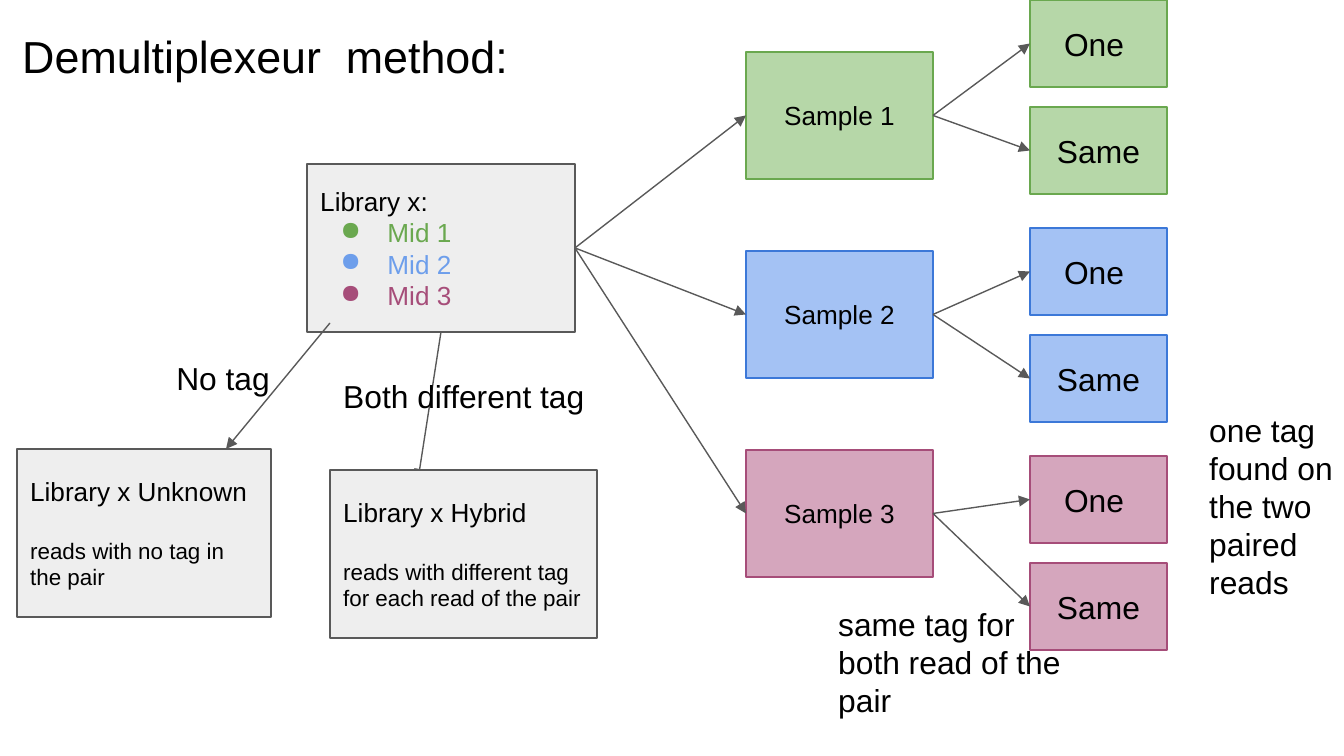
from dataclasses import dataclass

from lxml.etree import SubElement
from pptx import Presentation
from pptx.dml.color import RGBColor
from pptx.enum.shapes import MSO_CONNECTOR, MSO_SHAPE
from pptx.enum.text import MSO_ANCHOR, MSO_AUTO_SIZE, PP_ALIGN
from pptx.oxml.ns import qn
from pptx.util import Inches, Pt

PIXELS_PER_INCH = 134.4
LEFT_SITE, RIGHT_SITE = 1, 3


@dataclass(frozen=True)
class Theme:
    """Hold the font, type sizes and colours of the slide."""
    font: str = "Arial"
    title: int = 24
    label: int = 17
    body: int = 14
    note: int = 12
    text: str = "000000"
    line: str = "595959"
    library: str = "EEEEEE"
    samples: tuple = (("B6D7A8", "6AA84F"), ("A4C2F4", "3C78D8"), ("D5A6BD", "A64D79"))
    mids: tuple = ("6AA84F", "6D9EEB", "A64D79")


THEME = Theme()


def px(pixels):
    """Convert pixels to EMU."""
    return Inches(pixels / PIXELS_PER_INCH)


def style_paragraph(paragraph, size, color=THEME.text):
    """Format every run of a paragraph."""
    for run in paragraph.runs:
        run.font.name = THEME.font
        run.font.size = Pt(size)
        run.font.color.rgb = RGBColor.from_string(color)


def set_insets(text_frame):
    """Wrap the text and set equal margins."""
    text_frame.word_wrap = True
    text_frame.margin_left = text_frame.margin_right = Inches(0.1)
    text_frame.margin_top = text_frame.margin_bottom = Inches(0.1)


def add_label(slide, bounds, text, size=THEME.label):
    """Add a free text label and return its paragraph."""
    text_frame = slide.shapes.add_textbox(*map(px, bounds)).text_frame
    set_insets(text_frame)
    text_frame.auto_size = MSO_AUTO_SIZE.SHAPE_TO_FIT_TEXT
    text_frame.text = text
    paragraph = text_frame.paragraphs[0]
    style_paragraph(paragraph, size)
    return paragraph


def add_box(slide, bounds, text, size=THEME.body, fill=THEME.library,
            line=THEME.line, alignment=PP_ALIGN.LEFT):
    """Add an outlined rectangle with its first paragraph."""
    shape = slide.shapes.add_shape(MSO_SHAPE.RECTANGLE, *map(px, bounds))
    shape.shadow.inherit = False
    shape.fill.solid()
    shape.fill.fore_color.rgb = RGBColor.from_string(fill)
    shape.line.color.rgb = RGBColor.from_string(line)
    shape.line.width = Pt(0.75)
    text_frame = shape.text_frame
    set_insets(text_frame)
    text_frame.vertical_anchor = MSO_ANCHOR.MIDDLE
    text_frame.text = text
    text_frame.paragraphs[0].alignment = alignment
    style_paragraph(text_frame.paragraphs[0], size)
    return shape


def add_bullet(shape, text, color):
    """Append a coloured bullet to a box."""
    paragraph = shape.text_frame.add_paragraph()
    paragraph.text = text
    paragraph.alignment = PP_ALIGN.LEFT
    style_paragraph(paragraph, THEME.body, color)
    properties = paragraph._p.get_or_add_pPr()
    properties.set("marL", str(Inches(0.5)))
    properties.set("indent", str(Inches(-0.35)))
    bullet_color = SubElement(properties, qn("a:buClr"))
    SubElement(bullet_color, qn("a:srgbClr"), val=color)
    SubElement(properties, qn("a:buChar"), char="●")


def add_reject_box(slide, bounds, heading, note):
    """Add a library box with a heading and a spaced note."""
    shape = add_box(slide, bounds, heading)
    paragraph = shape.text_frame.add_paragraph()
    paragraph.text = note
    paragraph.alignment = PP_ALIGN.LEFT
    paragraph.space_before = Pt(16)
    style_paragraph(paragraph, THEME.note)


def add_arrow(slide, start=(0, 0), end=(0, 0)):
    """Add a thin arrow between two points."""
    connector = slide.shapes.add_connector(MSO_CONNECTOR.STRAIGHT, *map(px, start + end))
    connector.line.color.rgb = RGBColor.from_string(THEME.line)
    connector.line.width = Pt(0.75)
    SubElement(connector.line._get_or_add_ln(), qn("a:tailEnd"), type="triangle")
    SubElement(connector._element.spPr, qn("a:effectLst"))
    return connector


def join_boxes(slide, source, target):
    """Attach an arrow from the right of one box to the left of another."""
    connector = add_arrow(slide)
    connector.begin_connect(source, RIGHT_SITE)
    connector.end_connect(target, LEFT_SITE)


def add_library(slide):
    """Add the library box with its list of mids."""
    library = add_box(slide, (307, 164, 268, 168), "Library x: ")
    for number, color in enumerate(THEME.mids, start=1):
        add_bullet(library, f"Mid {number}", color)
    return library


def add_rejects(slide):
    """Add the branches for reads that match no sample."""
    add_arrow(slide, (330, 323), (226, 449))
    add_arrow(slide, (441, 332), (418, 480))
    add_reject_box(slide, (17, 449, 254, 168), "Library x Unknown",
                   "reads with no tag in the pair")
    add_label(slide, (163, 345, 137, 66), "No tag")
    add_reject_box(slide, (330, 470, 267, 168), "Library x Hybrid",
                   "reads with different tag for each read of the pair")
    add_label(slide, (330, 363, 300, 66), "Both different tag")


def add_samples(slide, library):
    """Add each sample with its two outcomes."""
    for index, (fill, line) in enumerate(THEME.samples):
        sample = add_box(slide, (746, 52 + 199 * index, 187, 127), f"Sample {index + 1}",
                         THEME.body, fill, line, PP_ALIGN.CENTER)
        join_boxes(slide, library, sample)
        for row, text in enumerate(("One ", "Same")):
            outcome = add_box(slide, (1030, 228 * index + 107 * row, 137, 87), text,
                              THEME.label, fill, line, PP_ALIGN.CENTER)
            join_boxes(slide, sample, outcome)


def main():
    """Build and save the slide."""
    presentation = Presentation()
    presentation.slide_width = px(1344)
    presentation.slide_height = px(756)
    slide = presentation.slides.add_slide(presentation.slide_layouts[6])
    title = add_label(slide, (9, 19, 577, 87), "Demultiplexeur  method:", THEME.title)
    title.line_spacing = 0.95
    library = add_library(slide)
    add_rejects(slide)
    add_samples(slide, library)
    add_label(slide, (825, 591, 267, 142), "same tag for both read of the pair")
    add_label(slide, (1196, 397, 195, 219), "one tag found on the two paired reads")
    presentation.save("out.pptx")


main()
